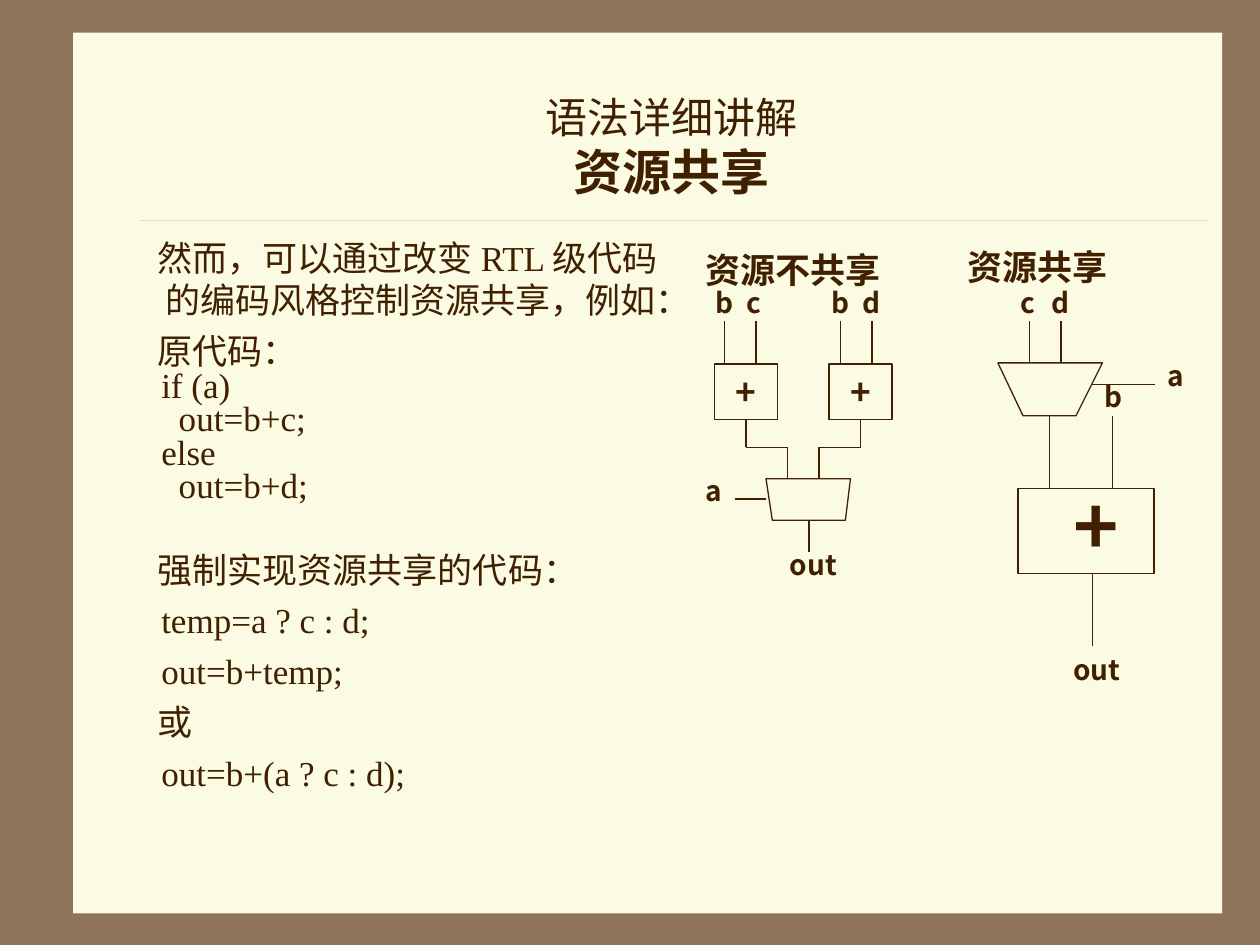
from lxml import etree
from pptx import Presentation
from pptx.dml.color import RGBColor
from pptx.enum.shapes import MSO_CONNECTOR, MSO_SHAPE
from pptx.enum.text import MSO_ANCHOR, MSO_AUTO_SIZE, PP_ALIGN
from pptx.oxml.ns import qn
from pptx.util import Cm, Pt

STRAIGHT, RECT = MSO_CONNECTOR.STRAIGHT, MSO_SHAPE.RECTANGLE
MIDDLE, CENTER, LEFT = MSO_ANCHOR.MIDDLE, PP_ALIGN.CENTER, PP_ALIGN.LEFT
NO_FIT = MSO_AUTO_SIZE.NONE
SANS, SERIF = "Noto Sans CJK SC", "Times New Roman"
BROWN, CREAM, TAN, RULE = "402000", "FBFAE2", "8C735A", "D9C9B5"
BOTTOM = 2

TITLE = [("语法详细讲解", 24, False), ("资源共享", 28, True)]
PROSE, CODE = -0.06, -0.03
BODY = [  # text, first-line indent, line height, space before
    ("然而，可以通过改变 RTL 级代码的编码风格控制资源共享，例如：", PROSE, 24, 0),
    ("原代码：", PROSE, 24, 5),
    ("if (a)", CODE, 14.2, 5),
    ("  out=b+c;", CODE, 14.2, 5),
    ("else", CODE, 14.2, 5),
    ("  out=b+d;", CODE, 14.2, 5),
    ("强制实现资源共享的代码：", PROSE, 24, 24),
    ("temp=a ? c : d;", CODE, 24, 5),
    ("out=b+temp;", CODE, 24, 5),
    ("或", PROSE, 24, 5),
    ("out=b+(a ? c : d);", CODE, 24, 5),
]
ADDERS = [(5.67, 6.25), (6.58, 6.5)]
MUXES = [
    [(6.08, 3.8), (6.75, 3.8), (6.71, 4.13), (6.13, 4.13)],
    [(7.92, 2.88), (8.75, 2.88), (8.54, 3.3), (8.12, 3.3)],
]
INPUTS = [5.75, 6, 6.67, 6.92, 8.17, 8.42]
WIRES = [
    (6.42, 4.13, 6.42, 4.38), (6.08, 3.96, 5.83, 3.96),
    (8.33, 3.3, 8.33, 3.88), (8.83, 3.3, 8.83, 3.88),
    (8.67, 3.05, 9.17, 3.05), (8.67, 4.55, 8.67, 5.13),
]
LABELS = [
    ("b", 5.58, 2.22, 0.33, 16), ("c", 5.83, 2.22, 0.33, 16),
    ("b", 6.5, 2.22, 0.33, 16), ("d", 6.75, 2.22, 0.33, 16),
    ("a", 5.5, 3.71, 0.33, 16), ("out", 6.17, 4.3, 0.67, 16),
    ("c", 8, 2.22, 0.33, 16), ("d", 8.25, 2.22, 0.33, 16),
    ("a", 9.17, 2.8, 0.33, 16), ("b", 8.67, 2.96, 0.33, 16),
    ("out", 8.42, 5.13, 0.58, 16), ("+", 8.42, 3.75, 0.58, 44),
    ("资源不共享", 5.5, 1.92, 1.67, 20), ("资源共享", 7.58, 1.9, 1.42, 20),
]


def inch(v):
    """Turn inches into a length."""
    return Cm(v * 2.54)


def rgb(value):
    """Turn a hex string into a colour."""
    return RGBColor.from_string(value)


def write(p, text, size=16, font=SANS, bold=True, align=LEFT, height=None):
    """Add a formatted run to a paragraph."""
    p.alignment = align
    p.line_spacing = Pt(height or size * 1.2)
    r = p.add_run()
    r.text = text
    r.font.size, r.font.bold, r.font.name = Pt(size), bold, font
    r.font.color.rgb = rgb(BROWN)
    etree.SubElement(r.font._element, qn("a:ea"), typeface=SANS)


def place(sp, x, y, w, h):
    """Move and size a shape."""
    sp.left, sp.top, sp.width, sp.height = map(inch, (x, y, w, h))


def paint(sp, fill=None, line=None):
    """Set the fill and outline of a shape."""
    sp.shadow.inherit = False
    if fill:
        sp.fill.solid()
        sp.fill.fore_color.rgb = rgb(fill)
    else:
        sp.fill.background()
    if line:
        sp.line.color.rgb = rgb(line)
        sp.line.width = Pt(0.75)
    else:
        sp.line.fill.background()


def add_box(s, x, y, w, h, **colors):
    """Add a rectangle."""
    sp = s.shapes.add_shape(RECT, *map(inch, (x, y, w, h)))
    paint(sp, **colors)
    return sp


def add_wire(s, x1, y1, x2, y2, color=BROWN, width=0.75):
    """Add a straight line."""
    c = s.shapes.add_connector(STRAIGHT, *map(inch, (x1, y1, x2, y2)))
    c.line.color.rgb = rgb(color)
    c.line.width = Pt(width)
    etree.SubElement(c._element.spPr, qn("a:effectLst"))
    return c


def fill_body(sp):
    """Lay out the explanation and its code."""
    place(sp, 0.83, 1.83, 4.58, 4.92)
    tf = sp.text_frame
    tf.auto_size, tf.word_wrap = NO_FIT, True
    for i, (text, indent, height, before) in enumerate(BODY):
        p = tf.add_paragraph() if i else tf.paragraphs[0]
        pPr = p._p.get_or_add_pPr()
        pPr.set("marL", str(inch(0.38)))
        pPr.set("indent", str(inch(indent)))
        etree.SubElement(pPr, qn("a:buNone"))
        p.space_before = Pt(before)
        write(p, text, size=20, font=SERIF, bold=False, height=height)


def fill_title(sp):
    """Lay out the two-line title."""
    place(sp, 1.08, 0.5, 8.5, 1.25)
    sp.fill.solid()
    sp.fill.fore_color.rgb = rgb(CREAM)
    tf = sp.text_frame
    tf.auto_size, tf.vertical_anchor = NO_FIT, MIDDLE
    p = tf.paragraphs[0]
    for i, (text, size, bold) in enumerate(TITLE):
        if i:
            p.add_line_break()
        write(p, text, size=size, bold=bold, align=CENTER, height=33.6)


def draw_circuits(s):
    """Draw the circuits with and without sharing."""
    for points in MUXES:
        (x, y), *rest = [(inch(px), inch(py)) for px, py in points]
        builder = s.shapes.build_freeform(x, y)
        builder.add_line_segments(rest, close=True)
        paint(builder.convert_to_shape(), line=BROWN)
    for x, port in ADDERS:
        sp = add_box(s, x, 2.89, 0.5, 0.44, line=BROWN)
        sp.text_frame.vertical_anchor = MIDDLE
        write(sp.text_frame.paragraphs[0], "+", size=20, align=CENTER)
        mid = x + 0.25
        add_wire(s, mid, 3.33, mid, 3.55).begin_connect(sp, BOTTOM)
        add_wire(s, mid, 3.55, port, 3.55)
        add_wire(s, port, 3.55, port, 3.8)
    add_box(s, 8.08, 3.88, 1.08, 0.67, line=BROWN)
    for wire in WIRES + [(x, 2.55, x, 2.88) for x in INPUTS]:
        add_wire(s, *wire)
    for text, x, y, w, size in LABELS:
        height = size * 1.2 / 72 + 0.1
        tf = s.shapes.add_textbox(*map(inch, (x, y, w, height))).text_frame
        tf.word_wrap = True
        write(tf.paragraphs[0], text, size=size)


def main():
    """Build the slide and save it."""
    prs = Presentation()
    prs.slide_width, prs.slide_height = inch(10), inch(7.5)
    s = prs.slides.add_slide(prs.slide_layouts[1])
    s.background.fill.solid()
    s.background.fill.fore_color.rgb = rgb(TAN)
    title, body = s.placeholders
    add_box(s, 0.58, 0.26, 9.12, 6.99, fill=CREAM)
    add_wire(s, 1.11, 1.75, 9.58, 1.75, color=RULE, width=0.25)
    for sp in (body, title):
        s.shapes._spTree.append(sp._element)
    fill_body(body)
    fill_title(title)
    draw_circuits(s)
    prs.save("out.pptx")


if __name__ == "__main__":
    main()
